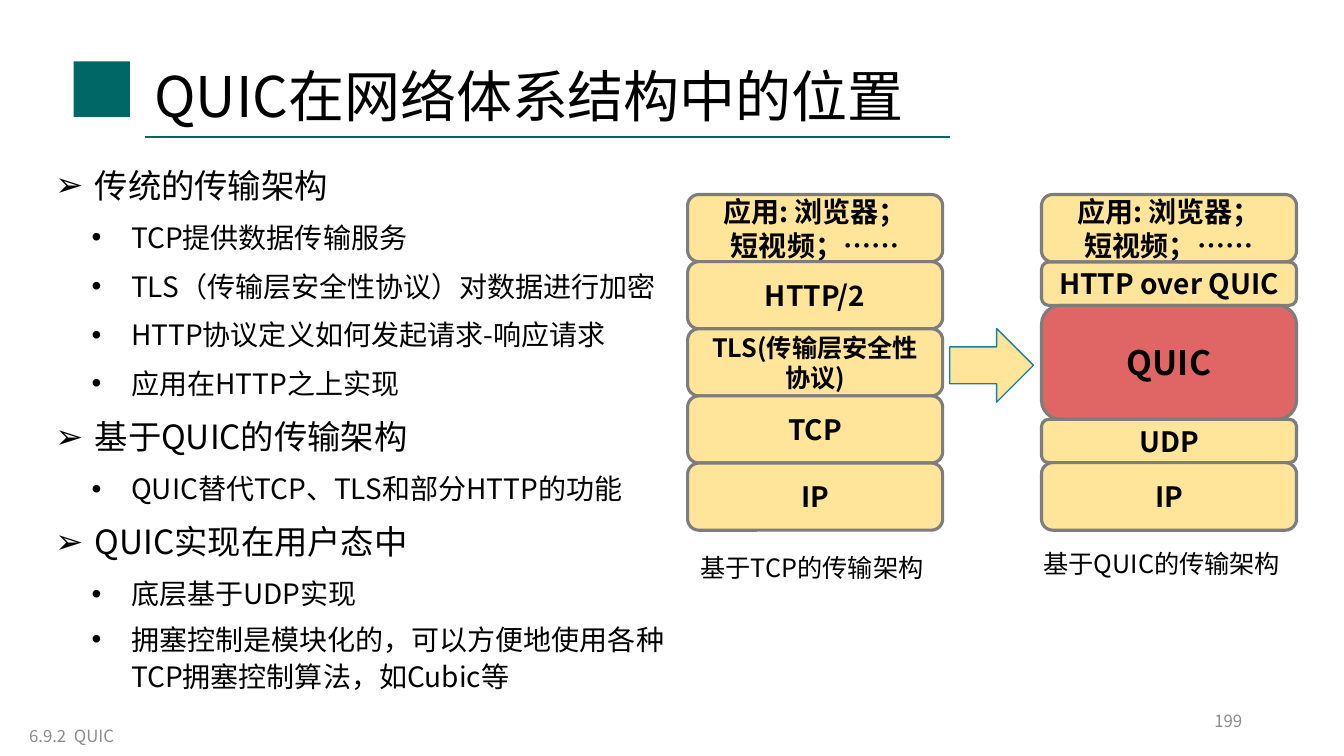
from lxml.etree import SubElement
from pptx import Presentation
from pptx.dml.color import RGBColor
from pptx.enum.shapes import MSO_CONNECTOR, MSO_SHAPE
from pptx.enum.text import MSO_ANCHOR, MSO_AUTO_SIZE, PP_ALIGN
from pptx.oxml.ns import qn
from pptx.util import Inches, Pt

FONT = "Noto Sans CJK SC"
BLACK = RGBColor(0x00, 0x00, 0x00)
TEAL = RGBColor(0x00, 0x66, 0x66)
GRAY = RGBColor(0x8C, 0x8C, 0x8C)
BORDER = RGBColor(0x7D, 0x7D, 0x7D)
YELLOW = RGBColor(0xFF, 0xE5, 0x99)
RED = RGBColor(0xE0, 0x66, 0x66)
BLUE = RGBColor(0x15, 0x80, 0xA9)

APP = "应用: 浏览器；\n短视频；……"
# Layers from top to bottom: text, height, size, fill
TCP_STACK = [
    (APP, 0.666, 20, YELLOW),
    ("HTTP/2", 0.666, 20, YELLOW),
    ("TLS(传输层安全性协议)", 0.666, 18, YELLOW),
    ("TCP", 0.666, 20, YELLOW),
    ("IP", 0.666, 20, YELLOW),
]
QUIC_STACK = [
    (APP, 0.67, 20, YELLOW),
    ("HTTP over QUIC", 0.43, 20, YELLOW),
    ("QUIC", 1.13, 24, RED),
    ("UDP", 0.43, 20, YELLOW),
    ("IP", 0.67, 20, YELLOW),
]
# Body lines: level, text, line spacing
BODY = [
    (0, "传统的传输架构", 1.2),
    (1, "TCP提供数据传输服务", 1.2),
    (1, "TLS（传输层安全性协议）对数据进行加密", 1.2),
    (1, "HTTP协议定义如何发起请求-响应请求", 1.2),
    (1, "应用在HTTP之上实现", 1.2),
    (0, "基于QUIC的传输架构", 1.2),
    (1, "QUIC替代TCP、TLS和部分HTTP的功能", 1.2),
    (0, "QUIC实现在用户态中", 1.2),
    (1, "底层基于UDP实现", 1.2),
    (1, "拥塞控制是模块化的，可以方便地使用各种TCP拥塞控制算法，如Cubic等", 1.1),
]
# Per level: bullet, indent, size
LEVELS = [("➢", 0.39, 23.8), ("•", 0.75, 20)]
HANGING = 0.39


def write(p, text, size=20, color=BLACK, bold=False, align=PP_ALIGN.LEFT, spacing=None):
    """Add one formatted run to a paragraph."""
    p.alignment = align
    if spacing:
        p.line_spacing = spacing
    r = p.add_run()
    r.text = text
    r.font.name, r.font.size, r.font.bold = FONT, Pt(size), bold
    r.font.color.rgb = color
    SubElement(r.font._element, qn("a:ea"), typeface=FONT)


class Deck:
    def __init__(self):
        self.prs = Presentation()
        self.prs.slide_width, self.prs.slide_height = Inches(13.33), Inches(7.5)
        self.s = self.prs.slides.add_slide(self.prs.slide_layouts[1])

    def place(self, sp, x, y, w, h, anchor):
        sp.left, sp.top, sp.width, sp.height = map(Inches, (x, y, w, h))
        tf = sp.text_frame
        tf.word_wrap, tf.auto_size = True, MSO_AUTO_SIZE.NONE
        tf.vertical_anchor = anchor
        return tf

    def title(self, text, *box):
        tf = self.place(self.s.shapes.title, *box, MSO_ANCHOR.MIDDLE)
        write(tf.paragraphs[0], text, size=40, spacing=1.2)

    def body(self, lines, *box):
        tf = self.place(self.s.placeholders[1], *box, MSO_ANCHOR.TOP)
        for i, (level, text, spacing) in enumerate(lines):
            p = tf.add_paragraph() if i else tf.paragraphs[0]
            bullet, indent, size = LEVELS[level]
            p.level = level
            p.space_before = Pt(6 if i else 0)
            p.line_spacing = spacing
            pPr = p._p.get_or_add_pPr()
            pPr.set("marL", str(Inches(indent)))
            pPr.set("indent", str(-Inches(HANGING)))
            SubElement(pPr, qn("a:buFont"), typeface="Arial")
            SubElement(pPr, qn("a:buChar"), char=bullet)
            write(p, text, size=size)

    def text(self, text, *box, anchor=MSO_ANCHOR.TOP, **fmt):
        sp = self.s.shapes.add_textbox(0, 0, 0, 0)
        tf = self.place(sp, *box, anchor)
        write(tf.paragraphs[0], text, **fmt)

    def shape(self, kind, x, y, w, h, fill, line=None, line_width=1):
        sp = self.s.shapes.add_shape(kind, *map(Inches, (x, y, w, h)))
        sp.shadow.inherit = False
        sp.fill.solid()
        sp.fill.fore_color.rgb = fill
        if line is None:
            sp.line.fill.background()
        else:
            sp.line.color.rgb = line
            sp.line.width = Pt(line_width)
        return sp

    def line(self, x1, y1, x2, y2, color, width):
        c = self.s.shapes.add_connector(
            MSO_CONNECTOR.STRAIGHT, *map(Inches, (x1, y1, x2, y2)))
        c.line.color.rgb = color
        c.line.width = Pt(width)
        SubElement(c._element.spPr, qn("a:effectLst"))

    def stack(self, layers, x, y, w):
        for text, h, size, fill in layers:
            sp = self.shape(MSO_SHAPE.ROUNDED_RECTANGLE, x, y, w, h, fill, BORDER, 2.25)
            tf = self.place(sp, x, y, w, h, MSO_ANCHOR.MIDDLE)
            for i, row in enumerate(text.split("\n")):
                p = tf.add_paragraph() if i else tf.paragraphs[0]
                write(p, row, size=size, bold=True, align=PP_ALIGN.CENTER)
            y += h


def main():
    deck = Deck()

    # Heading
    deck.shape(MSO_SHAPE.RECTANGLE, 0.73, 0.61, 0.56, 0.55, TEAL)
    deck.line(1.44, 1.36, 9.42, 1.36, TEAL, 1.5)
    deck.title("QUIC在网络体系结构中的位置", 1.43, 0.4, 8.99, 0.96)

    # Explanation
    deck.body(BODY, 0.45, 1.51, 6.3, 5.59)

    # Protocol stacks
    deck.stack(TCP_STACK, 6.82, 1.93, 2.53)
    deck.stack(QUIC_STACK, 10.33, 1.93, 2.53)
    deck.shape(MSO_SHAPE.RIGHT_ARROW, 9.42, 3.26, 0.83, 0.73, YELLOW, BLUE)
    deck.text("基于TCP的传输架构", 6.85, 5.43, 2.5, 0.4, size=18)
    deck.text("基于QUIC的传输架构", 10.25, 5.39, 2.6, 0.4, size=18)

    # Footer
    footer = dict(anchor=MSO_ANCHOR.MIDDLE, size=12, color=GRAY)
    deck.text("199", 9.42, 6.95, 3, 0.4, align=PP_ALIGN.RIGHT, **footer)
    deck.text("6.9.2  QUIC", 0.19, 7.1, 3, 0.4, **footer)

    deck.prs.save("out.pptx")


if __name__ == "__main__":
    main()
